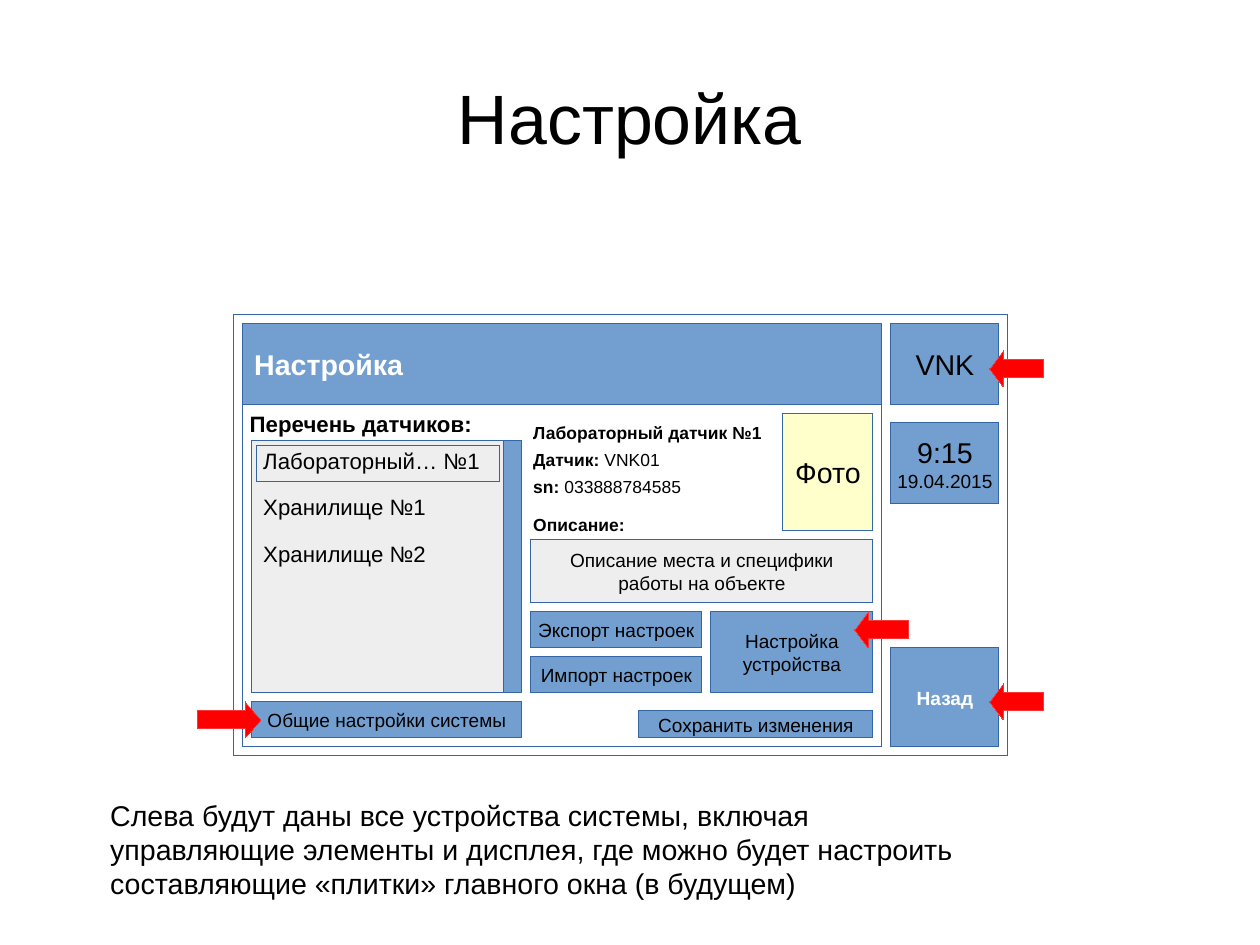
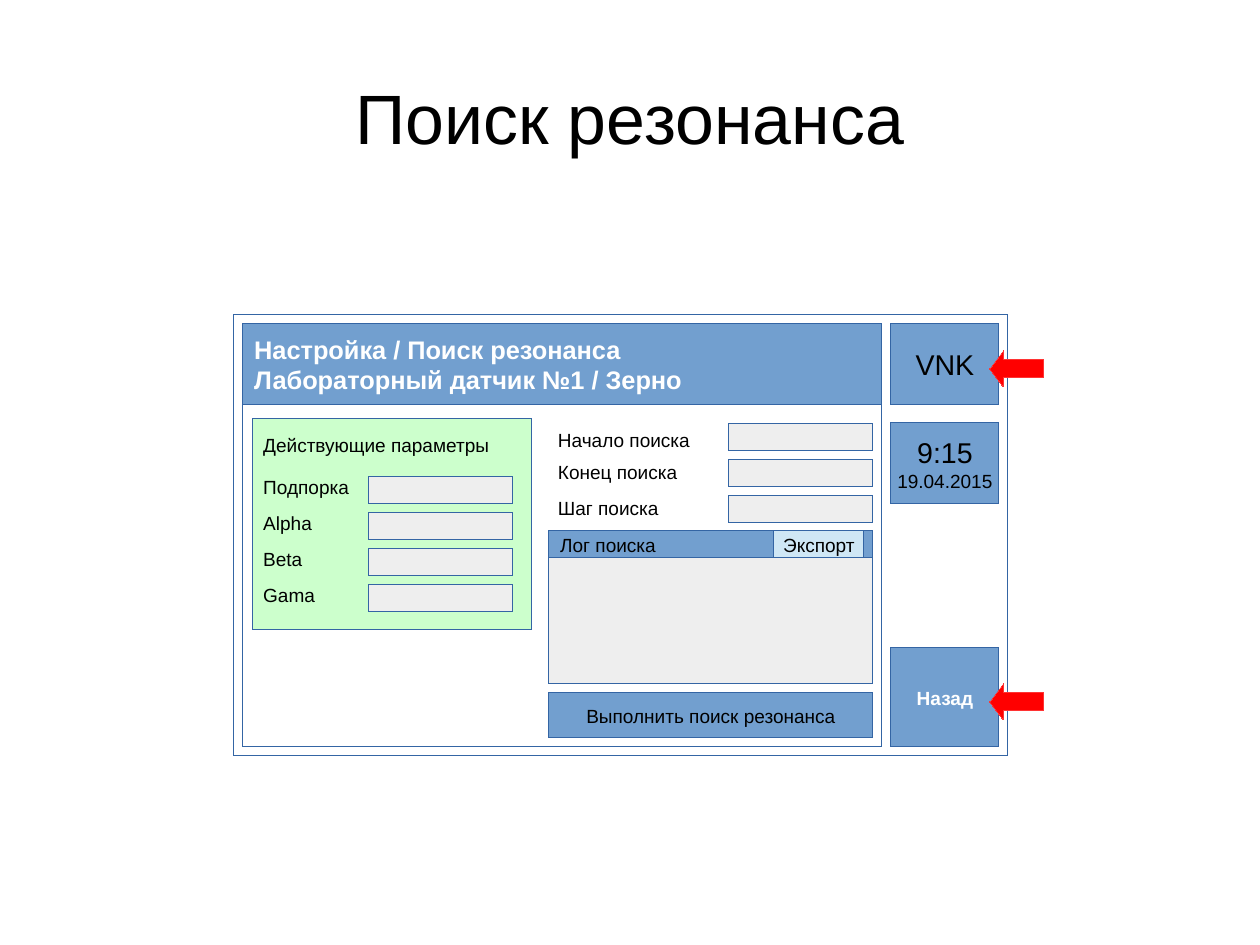
from dataclasses import dataclass
from typing import Optional

from pptx import Presentation
from pptx import util as u
from pptx.dml import color
from pptx.enum import shapes, text


@dataclass(frozen=True)
class Theme:
    font: str = "Arial"
    black: str = "000000"
    white: str = "FFFFFF"
    tile: str = "729FCF"
    outline: str = "3465A4"
    field: str = "EEEEEE"
    photo: str = "FFFFCC"
    params: str = "CCFFCC"
    export: str = "CFE7F5"
    arrow: str = "FF0000"
    arrow_edge: str = "FF3333"
    title: int = 44
    large: int = 18
    header: int = 16
    medium: int = 14
    normal: int = 12
    small: int = 11


THEME = Theme()
HAIRLINE = u.Emu(1)
DEVICE = "VNK"
LEFT, CENTER = text.PP_ALIGN.LEFT, text.PP_ALIGN.CENTER
TOP, MIDDLE = text.MSO_ANCHOR.TOP, text.MSO_ANCHOR.MIDDLE


@dataclass(frozen=True)
class Box:
    """Place and size in centimetres."""
    x: float
    y: float
    w: float
    h: float

    def lengths(self) -> list:
        return [u.Cm(value) for value in (self.x, self.y, self.w, self.h)]


@dataclass(frozen=True)
class Run:
    words: str
    size: int = THEME.normal
    bold: bool = False
    ink: str = THEME.black


@dataclass(frozen=True)
class Style:
    align: int = CENTER
    anchor: int = MIDDLE
    wrap: bool = False
    gap: float = 0
    inset: tuple = (0.25, 0.13)


@dataclass(frozen=True)
class Tile:
    box: Box
    fill: Optional[str] = THEME.tile
    lines: tuple = ()
    style: Style = Style()


@dataclass(frozen=True)
class Label:
    box: Box
    runs: tuple
    style: Style = Style(LEFT, TOP, True)


@dataclass(frozen=True)
class Pointer:
    box: Box
    kind: int = shapes.MSO_SHAPE.LEFT_ARROW
    head: float = 0.375


def rgb(code: str) -> color.RGBColor:
    return color.RGBColor.from_string(code)


def assign(target, values: dict) -> None:
    for name, value in values.items():
        setattr(target, name, value)


def write(frame, lines: tuple, style: Style) -> None:
    """Fill a text frame; each line is a tuple of runs."""
    side, edge = (u.Cm(value) for value in style.inset)
    assign(frame, {"word_wrap": style.wrap, "vertical_anchor": style.anchor,
                   "margin_left": side, "margin_right": side,
                   "margin_top": edge, "margin_bottom": edge})
    for number, runs in enumerate(lines):
        paragraph = frame.add_paragraph() if number else frame.paragraphs[0]
        paragraph.alignment = style.align
        if number and style.gap:
            paragraph.space_before = u.Pt(style.gap)
        for item in runs:
            run = paragraph.add_run()
            run.text = item.words
            assign(run.font, {"name": THEME.font, "size": u.Pt(item.size),
                              "bold": item.bold})
            run.font.color.rgb = rgb(item.ink)


def draw_shape(slide, kind: int, box: Box, fill: Optional[str], edge: str):
    shape = slide.shapes.add_shape(kind, *box.lengths())
    shape.shadow.inherit = False
    if fill:
        shape.fill.solid()
        shape.fill.fore_color.rgb = rgb(fill)
    else:
        shape.fill.background()
    shape.line.color.rgb = rgb(edge)
    shape.line.width = HAIRLINE
    return shape


def draw_tile(slide, tile: Tile) -> None:
    shape = draw_shape(slide, shapes.MSO_SHAPE.RECTANGLE, tile.box,
                       tile.fill, THEME.outline)
    if tile.lines:
        write(shape.text_frame, tile.lines, tile.style)


def draw_label(slide, label: Label) -> None:
    frame = slide.shapes.add_textbox(*label.box.lengths()).text_frame
    write(frame, (label.runs,), label.style)


def draw_pointer(slide, pointer: Pointer) -> None:
    arrow = draw_shape(slide, pointer.kind, pointer.box,
                       THEME.arrow, THEME.arrow_edge)
    arrow.adjustments[0] = 0.5
    arrow.adjustments[1] = pointer.head


DRAW = {Tile: draw_tile, Label: draw_label, Pointer: draw_pointer}


def line(words: str, size: int = THEME.normal, bold: bool = False,
         ink: str = THEME.black) -> tuple:
    return (Run(words, size, bold, ink),)


def caption(x: float, y: float, w: float, words: str) -> Label:
    return Label(Box(x, y, w, 0.73), line(words))


def detail(y: float, w: float, name: str, value: str = "") -> Label:
    """A bold name, with a plain value after it if there is one."""
    runs = line(name, THEME.small, True)
    if value:
        runs += line(value, THEME.small)
    return Label(Box(11.6, y, w, 0.69), runs)


def button(box: Box, *words: str) -> Tile:
    return Tile(box, lines=tuple(line(part) for part in words))


def entry(x: float, y: float) -> Tile:
    return Tile(Box(x, y, 3.2, 0.6), THEME.field)


def device_screen(header: tuple, header_size: int) -> list:
    """The frame, header and side tiles that every screen has."""
    return [
        Tile(Box(5.2, 7, 17.2, 9.8), THEME.white),
        Tile(Box(19.8, 7.2, 2.4, 1.8), lines=(line(DEVICE, THEME.large),)),
        Tile(Box(19.8, 9.4, 2.4, 1.8),
             lines=(line("9:15", THEME.large), line("19.04.2015"))),
        Tile(Box(19.8, 14.4, 2.4, 2.2),
             lines=(line("Назад", bold=True, ink=THEME.white),)),
        Tile(Box(5.4, 7.2, 14.2, 9.4), THEME.white),
        Tile(Box(5.4, 7.2, 14.2, 1.8),
             lines=tuple(line(words, header_size, True, THEME.white)
                         for words in header),
             style=Style(LEFT, wrap=True)),
    ]


def settings_content() -> list:
    sensors = ("Лабораторный… №1", "Хранилище №1", "Хранилище №2")
    note = ("Слева будут даны все устройства системы, включая управляющие "
            "элементы и дисплея, где можно будет настроить составляющие "
            "«плитки» главного окна (в будущем)")
    return [
        Label(Box(5.3, 8.98, 5.8, 0.82),
              line("Перечень датчиков:", THEME.medium, True)),
        Tile(Box(5.6, 9.8, 5.6, 5.6), THEME.field,
             tuple(line(sensor, THEME.medium) for sensor in sensors),
             Style(LEFT, TOP, True, gap=12.5)),
        Tile(Box(11.2, 9.8, 0.4, 5.6)),
        Tile(Box(5.7, 9.9, 5.4, 0.8), None),
        detail(9.24, 5.75, "Лабораторный датчик №1"),
        detail(9.85, 3.8, "Датчик: ", f"{DEVICE}01"),
        detail(10.45, 4.2, "sn:", " 033888784585"),
        detail(11.3, 2.9, "Описание:"),
        Tile(Box(17.4, 9.2, 2, 2.6), THEME.photo,
             (line("Фото", THEME.large),)),
        Tile(Box(11.8, 12, 7.6, 1.4), THEME.field,
             (line("Описание места и специфики"),
              line("работы на объекте"))),
        button(Box(11.8, 13.6, 3.8, 0.8), "Экспорт настроек"),
        button(Box(11.8, 14.6, 3.8, 0.8), "Импорт настроек"),
        button(Box(15.8, 13.6, 3.6, 1.8), "Настройка", "устройства"),
        button(Box(5.6, 15.6, 6, 0.8), "Общие настройки системы"),
        button(Box(14.2, 15.8, 5.2, 0.6), "Сохранить изменения"),
        Label(Box(2.2, 17.6, 20, 2.4), line(note, THEME.large)),
        Pointer(Box(19, 13.6, 1.2, 0.8)),
        Pointer(Box(4.4, 15.6, 1.4, 0.8), shapes.MSO_SHAPE.RIGHT_ARROW, 0.438),
    ]


def resonance_content() -> list:
    parameters = ("Подпорка", "Alpha", "Beta", "Gama")
    search_range = (("Начало поиска", 9.4), ("Конец поиска", 10.1),
                    ("Шаг поиска", 10.9))
    row_step = 0.8
    parts = [Tile(Box(5.62, 9.3, 6.2, 4.7), THEME.params),
             caption(5.6, 9.5, 7, "Действующие параметры")]
    for row, name in enumerate(parameters):
        parts += [caption(5.6, 10.44 + row * row_step, 2.6, name),
                  entry(8.2, 10.6 + row * row_step)]
    for row, (name, top) in enumerate(search_range):
        parts += [caption(12.15, top, 3.8, name),
                  entry(16.2, 9.41 + row * row_step)]
    return parts + [
        Tile(Box(12.2, 12.4, 7.2, 2.8), THEME.field),
        Tile(Box(12.2, 11.8, 7.2, 0.6), lines=(line("Лог поиска"),),
             style=Style(LEFT, wrap=True)),
        Tile(Box(17.2, 11.8, 2, 0.6), THEME.export, (line("Экспорт"),)),
        button(Box(12.2, 15.4, 7.2, 1), "Выполнить поиск резонанса"),
    ]


def add_screen(deck, title: str, header: tuple, header_size: int,
               content: list) -> None:
    slide = deck.slides.add_slide(deck.slide_layouts[6])
    heading = Label(Box(1.4, 0.84, 25.2, 3.5), line(title, THEME.title),
                    Style(wrap=True, inset=(0, 0)))
    pointers = [Pointer(Box(22, top, 1.2, 0.8)) for top in (7.8, 15.2)]
    screen = device_screen(header, header_size)
    for part in [heading, *screen, *content, *pointers]:
        DRAW[type(part)](slide, part)


def main() -> None:
    deck = Presentation()
    assign(deck, {"slide_width": u.Cm(28), "slide_height": u.Cm(21)})
    add_screen(deck, "Настройка", ("Настройка",), THEME.large,
               settings_content())
    add_screen(deck, "Поиск резонанса",
               ("Настройка / Поиск резонанса",
                "Лабораторный датчик №1 / Зерно"),
               THEME.header, resonance_content())
    deck.save("out.pptx")


if __name__ == "__main__":
    main()
